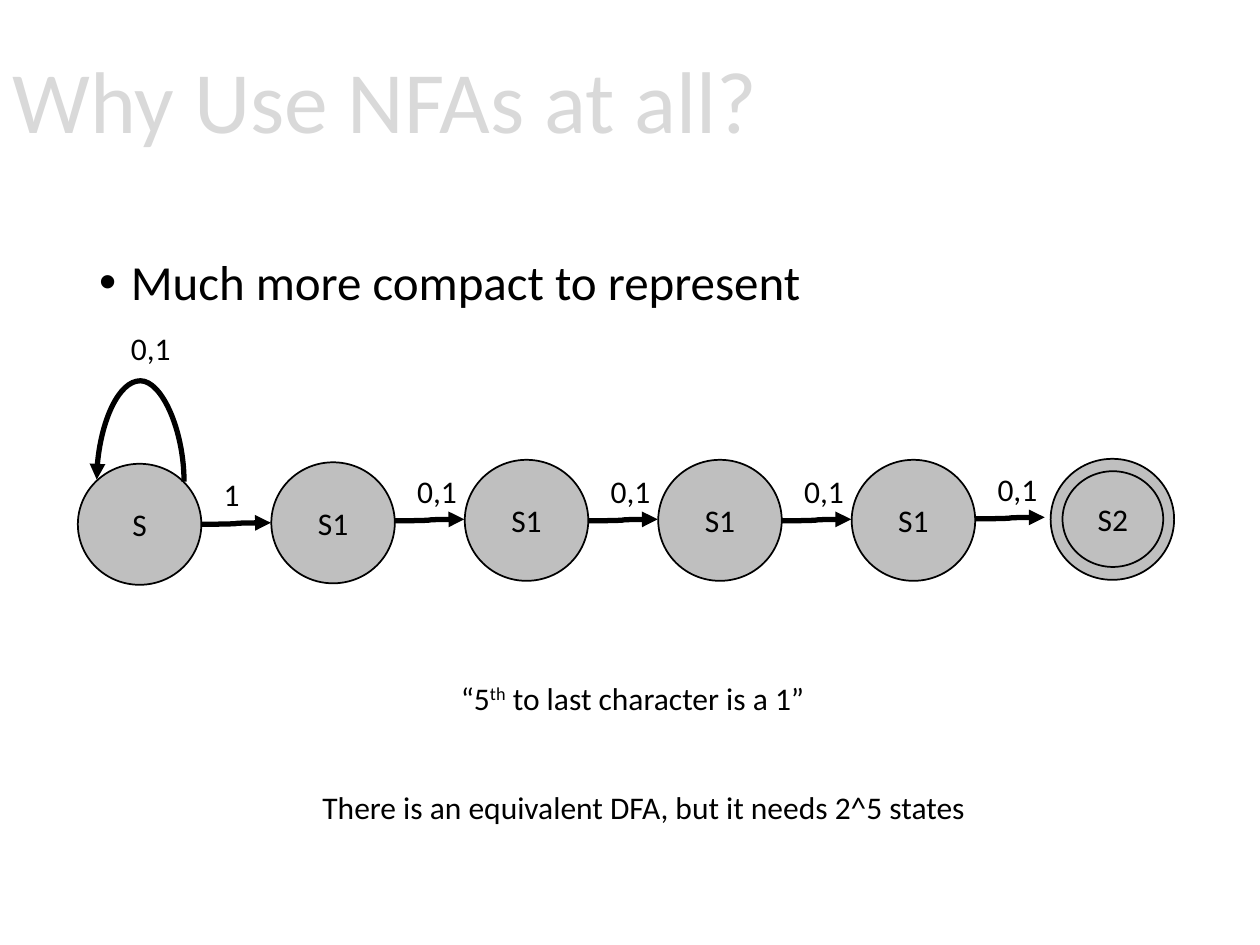
"""Build a slide on why NFAs are more compact than DFAs."""
from lxml.etree import SubElement
from pptx import Presentation
from pptx.dml.color import RGBColor
from pptx.enum.shapes import MSO_CONNECTOR as Link, MSO_SHAPE as Preset
from pptx.enum.text import MSO_ANCHOR as Anchor, PP_ALIGN as Align
from pptx.oxml.ns import qn
from pptx.util import Cm, Pt

BLACK = RGBColor(0x00, 0x00, 0x00)
STATE_GRAY = RGBColor(0xBF, 0xBF, 0xBF)
TITLE_GRAY = RGBColor(0xD9, 0xD9, 0xD9)
PITCH, STATE_W, STATE_H = 3.9, 2.49, 2.44


def write(box, text, size=18, color=BLACK):
    box.text_frame.text = text
    paragraph = box.text_frame.paragraphs[0]
    for run in paragraph.runs:
        run.font.name, run.font.size = "Calibri", Pt(size)
        run.font.color.rgb = color
    return paragraph


def add_arrow(x1, y1, x2, y2):
    arrow = slide.shapes.add_connector(Link.CURVE, Cm(x1), Cm(y1), Cm(x2), Cm(y2))
    arrow.line.color.rgb = BLACK
    arrow.line.width = Pt(3)
    SubElement(arrow.line._get_or_add_ln(), qn("a:tailEnd"), type="triangle")
    SubElement(arrow._element.spPr, qn("a:effectLst"))
    return arrow


deck = Presentation()
deck.slide_width, deck.slide_height = Cm(25.4), Cm(19.05)
slide = deck.slides.add_slide(deck.slide_layouts[5])

title = slide.shapes.title
title.left, title.top, title.width, title.height = Cm(0), Cm(0.28), Cm(27.03), Cm(3.68)
heading = write(title, "Why Use NFAs at all?", 50, TITLE_GRAY)
heading.alignment, heading.line_spacing = Align.LEFT, 0.9
title.text_frame.vertical_anchor = Anchor.MIDDLE

body = slide.shapes.add_textbox(Cm(1.75), Cm(5.08), Cm(21.9), Cm(12.09))
body.text_frame.word_wrap = True
point = write(body, "Much more compact to represent", 28)
point.line_spacing, point.space_before = 0.9, Pt(10)
point_format = point._p.get_or_add_pPr()
point_format.set("marL", str(Cm(0.64)))
point_format.set("indent", str(-Cm(0.64)))
SubElement(point_format, qn("a:buFont"), typeface="Arial")
SubElement(point_format, qn("a:buChar"), char="•")

states = [
    ("S", 1.57, 9.35, STATE_W, STATE_H),
    ("S1", 1.57 + PITCH, 9.32, STATE_W, STATE_H),
    *[("S1", 1.57 + PITCH * step, 9.27, STATE_W, STATE_H) for step in (2, 3, 4)],
    ("", 21.18, 9.25, STATE_W, STATE_H),
    ("S2", 21.42, 9.5, 2.03, 1.93),
]
for name, left, top, width, height in states:
    state = slide.shapes.add_shape(Preset.OVAL, Cm(left), Cm(top), Cm(width), Cm(height))
    state.shadow.inherit = False
    state.fill.solid()
    state.fill.fore_color.rgb = STATE_GRAY
    state.line.color.rgb = BLACK
    state.line.width = Pt(1)
    if name:
        write(state, name).alignment = Align.CENTER
        state.text_frame.vertical_anchor = Anchor.MIDDLE

labels = [("0,1", 2.39, 6.5, 1.32)]
transitions = [("1", 10.57), ("0,1", 10.5), ("0,1", 10.5), ("0,1", 10.5), ("0,1", 10.46)]
for step, (symbols, y) in enumerate(transitions):
    x = 4.06 + PITCH * step
    add_arrow(x, y, x + 1.4, y - 0.03)
    labels.append((symbols, x + 0.2, y - 1.11, 0.84 if symbols == "1" else 1.32))

loop = add_arrow(2.81, 10.57, 2.85, 8.81)
loop._element.spPr.find(qn("a:xfrm")).set("rot", "16200000")
bend = loop._element.spPr.find(qn("a:prstGeom")).get_or_add_avLst()
SubElement(bend, qn("a:gd"), name="adj1", fmla="val 5080000")

labels += [
    ("“5th to last character is a 1”", 9.04, 13.56, 7.54),
    ("There is an equivalent DFA, but it needs 2^5 states", 6.25, 15.77, 13.64),
]
for text, left, top, width in labels:
    label = slide.shapes.add_textbox(Cm(left), Cm(top), Cm(width), Cm(1.02))
    label.text_frame.word_wrap = False
    line = write(label, text)
    if "5th" in text:
        before, after = text.split("th", 1)
        line.runs[0].text = before
        for part in ("th", after):
            run = line.add_run()
            run.text = part
            run.font.name, run.font.size = "Calibri", Pt(18)
            run.font.color.rgb = BLACK
        line.runs[1].font._element.set("baseline", "30000")

deck.save("out.pptx")
